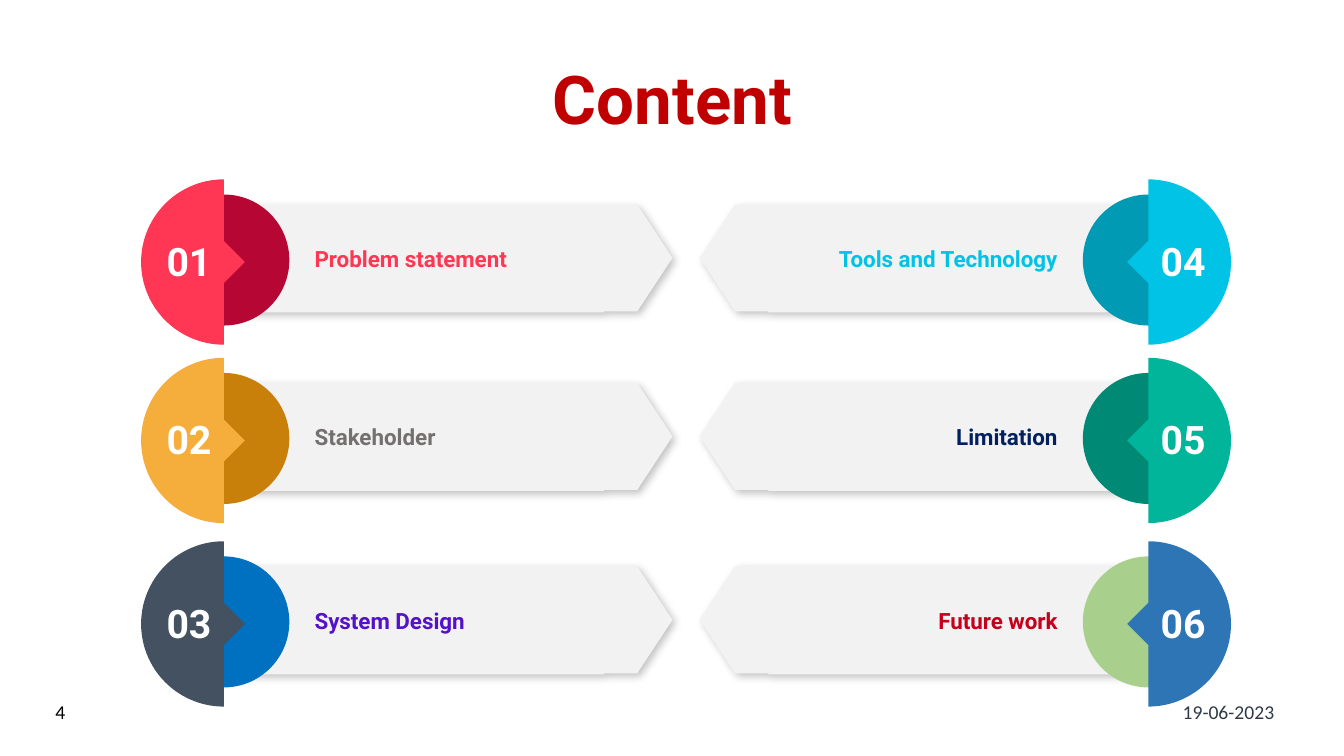
from math import cos, pi, sin

from pptx import Presentation
from pptx.dml.color import RGBColor as RGB
from pptx.enum.shapes import MSO_SHAPE as Kind
from pptx.enum.text import MSO_ANCHOR as Anchor, PP_ALIGN as Align
from pptx.oxml import parse_xml
from pptx.util import Inches, Pt

RED = RGB(0xC0, 0x00, 0x00)
GREY = RGB(0xF2, 0xF2, 0xF2)
WHITE = RGB(0xFF, 0xFF, 0xFF)
BLACK = RGB(0x00, 0x00, 0x00)
SLATE = RGB(0x2F, 0x3A, 0x46)
ROSE, WINE = RGB(0xFF, 0x36, 0x54), RGB(0xB6, 0x06, 0x34)
AMBER, OCHRE = RGB(0xF5, 0xAE, 0x3B), RGB(0xC8, 0x80, 0x0A)
STEEL, BLUE = RGB(0x43, 0x51, 0x61), RGB(0x00, 0x70, 0xC0)
CYAN, TEAL = RGB(0x00, 0xC3, 0xE6), RGB(0x00, 0x9A, 0xB4)
MINT, PINE = RGB(0x00, 0xB5, 0x9A), RGB(0x00, 0x8A, 0x76)
AZURE, LIME = RGB(0x2E, 0x75, 0xB5), RGB(0xA8, 0xD0, 0x8C)
STONE, NAVY = RGB(0x75, 0x70, 0x70), RGB(0x00, 0x20, 0x60)
VIOLET, RUBY = RGB(0x53, 0x12, 0xC8), RGB(0xC4, 0x00, 0x1C)

WIDE = 5.27  # width of one entry
SEAM = 0.82  # badge radius, where the half disc meets the banner
TOPS = (1.78, 3.55, 5.37)
LEFT, RIGHT = 1.4, 6.94

# number, label, label colour, half disc, inner disc
ITEMS = [
    ("01", "Problem statement", ROSE, ROSE, WINE),
    ("02", "Stakeholder", STONE, AMBER, OCHRE),
    ("03", "System Design", VIOLET, STEEL, BLUE),
    ("04", "Tools and Technology", CYAN, CYAN, TEAL),
    ("05", "Limitation", NAVY, MINT, PINE),
    ("06", "Future work", RUBY, AZURE, LIME),
]

SHADE = (
    '<a:effectLst xmlns:a="http://schemas.openxmlformats.org/drawingml/2006/main">'
    '<a:outerShdw blurRad="76200" dist="38100" dir="2700000" algn="tl" rotWithShape="0">'
    '<a:srgbClr val="000000"><a:alpha val="24000"/></a:srgbClr>'
    '</a:outerShdw></a:effectLst>'
)


def apply(target, values):
    for name, value in values.items():
        setattr(target, name, value)


def write(slide, box, text, size, color, align=Align.CENTER, face="Roboto",
          bold=True, space=1.0):
    frame = slide.shapes.add_textbox(*map(Inches, box)).text_frame
    apply(frame, dict(word_wrap=True, vertical_anchor=Anchor.MIDDLE,
                      margin_left=0, margin_right=0, margin_top=0, margin_bottom=0))
    para = frame.paragraphs[0]
    apply(para, dict(alignment=align, line_spacing=space))
    run = para.add_run()
    run.text = text
    apply(run.font, dict(name=face, size=Pt(size), bold=bold))
    run.font.color.rgb = color


def paint(shape, color):
    shape.shadow.inherit = False
    shape.fill.solid()
    shape.fill.fore_color.rgb = color
    shape.line.fill.background()
    return shape


def outline(slide, points, color):
    spots = [(Inches(x), Inches(y)) for x, y in points]
    form = slide.shapes.build_freeform(*spots[0])
    form.add_line_segments(spots[1:], close=True)
    return paint(form.convert_to_shape(), color)


def entry(slide, left, top, flip, item):
    number, label, ink, outer, inner = item

    def place(points):
        return [(left + (WIDE - x if flip else x), top + y) for x, y in points]

    def area(x, y, width, height):
        return left + (WIDE - x - width if flip else x), top + y, width, height

    # Banner with a pointed end
    banner = outline(slide, place([
        (SEAM, 0.25), (4.92, 0.25), (WIDE, 0.78), (4.92, 1.31),
        (4.59, 1.31), (4.59, 1.32), (SEAM, 1.32)]), GREY)
    props = banner.element.spPr
    props.remove(props.find("{*}effectLst"))
    props.append(parse_xml(SHADE))

    # Inner disc, then half disc with its notch
    disc = area(0.17, 0.15, 1.3, 1.3)
    paint(slide.shapes.add_shape(Kind.OVAL, *map(Inches, disc)), inner)
    turns = [pi * step / 60 for step in range(61)]
    arc = [(SEAM - SEAM * sin(t), SEAM - SEAM * cos(t)) for t in turns]
    notch = [(SEAM, 1.03), (1.03, SEAM), (SEAM, 0.61)]
    outline(slide, place(arc + notch), outer)

    # Number and label
    write(slide, area(0.16, 0.57, 0.63, 0.47), number, 28, WHITE)
    write(slide, area(1.72, 0.65, 2.74, 0.27), label, 16, ink,
          Align.RIGHT if flip else Align.LEFT)


def footer(slide, box, text, color):
    write(slide, box, text, 14, color, face="Calibri", bold=False)


def main():
    deck = Presentation()
    apply(deck, dict(slide_width=Inches(13.33), slide_height=Inches(7.5)))
    slide = deck.slides.add_slide(deck.slide_layouts[6])

    write(slide, (0.57, 0.66, 12.2, 0.72), "Content", 48, RED, space=0.9)
    for index, item in enumerate(ITEMS):
        flip, row = divmod(index, len(TOPS))
        entry(slide, RIGHT if flip else LEFT, TOPS[row], flip, item)
    footer(slide, (0.36, 6.85, 0.48, 0.43), "4", BLACK)
    footer(slide, (11.4, 6.85, 1.57, 0.43), "19-06-2023", SLATE)

    deck.save("out.pptx")


if __name__ == "__main__":
    main()
